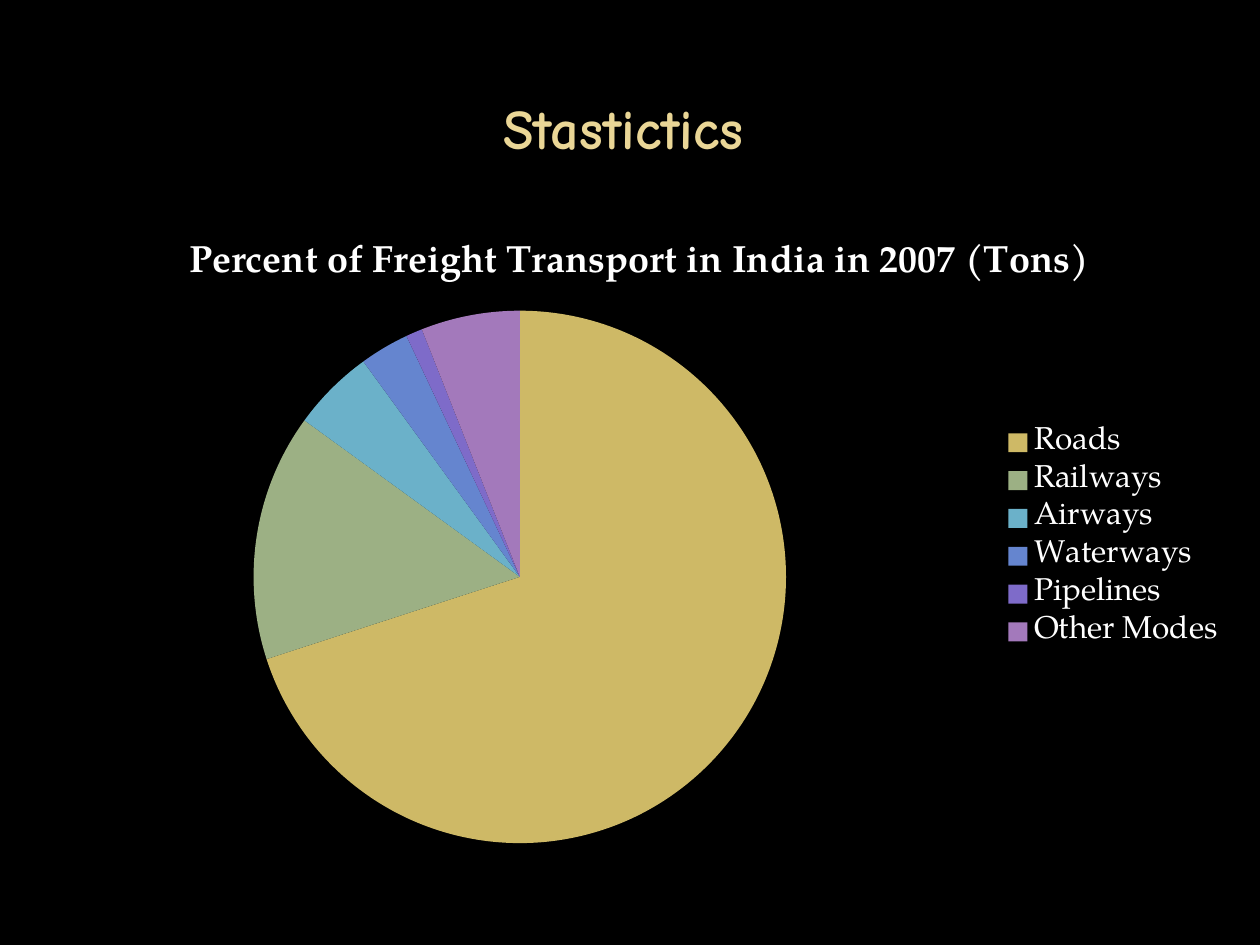
from pptx import Presentation
from pptx import util as u
from pptx.chart.data import CategoryChartData
from pptx.dml.color import RGBColor
from pptx.enum import chart as ch, text

COLORS = {
    "background": "000000", "title": "EAD696", "text": "FFFFFF",
    "Roads": "CEB966", "Railways": "9CB084", "Airways": "6BB1C9",
    "Waterways": "6585CF", "Pipelines": "7E6BC9", "Other Modes": "A379BB",
}
FREIGHT = {"Roads": 70, "Railways": 15, "Airways": 5,
           "Waterways": 3, "Pipelines": 1, "Other Modes": 6}


def set_all(obj, values):
    for name, value in values.items():
        setattr(obj, name, value)


class Deck:
    def __init__(self, prs):
        self.s = prs.slides.add_slide(prs.slide_layouts[6])
        self.paint(self.s.background.fill, "background")

    def paint(self, fill, color):
        fill.solid()
        fill.fore_color.rgb = RGBColor.from_string(COLORS[color])

    def style(self, font, name, size, color, bold=False):
        set_all(font, {"name": name, "size": u.Pt(size), "bold": bold})
        font.color.rgb = RGBColor.from_string(COLORS[color])

    def title(self, words, box):
        tf = self.s.shapes.add_textbox(*map(u.Inches, box)).text_frame
        set_all(tf, {"word_wrap": True,
                     "vertical_anchor": text.MSO_ANCHOR.MIDDLE,
                     "margin_top": u.Inches(0.21),
                     "margin_right": u.Inches(0.2)})
        p = tf.paragraphs[0]
        p.alignment = text.PP_ALIGN.CENTER
        r = p.add_run()
        r.text = words
        self.style(r.font, "Comic Neue", 32, "title", True)

    def pie(self, name, values, box):
        data = CategoryChartData()
        data.categories = list(values)
        data.add_series(name, list(values.values()))
        chart = self.s.shapes.add_chart(
            ch.XL_CHART_TYPE.PIE, *map(u.Inches, box), data).chart
        font = "TeX Gyre Pagella"
        self.style(chart.font, font, 18, "text")

        set_all(chart, {"has_title": True, "has_legend": True})
        tf = chart.chart_title.text_frame
        tf.text = name
        self.style(tf.paragraphs[0].runs[0].font, font, 21.6, "text", True)
        set_all(chart.legend, {"position": ch.XL_LEGEND_POSITION.RIGHT,
                               "include_in_layout": False})
        self.style(chart.legend.font, font, 18, "text")

        plot = chart.plots[0]
        plot.vary_by_categories = True
        for i, category in enumerate(values):
            self.paint(plot.series[0].points[i].format.fill, category)


def main():
    prs = Presentation()
    set_all(prs, {"slide_width": u.Inches(10), "slide_height": u.Inches(7.5)})
    deck = Deck(prs)
    deck.title("Stastictics", (0.5, 0.3, 9, 1.25))
    deck.pie("Percent of Freight Transport in India in 2007 (Tons)",
             FREIGHT, (0.33, 1.7, 9.5, 5.13))
    prs.save("out.pptx")


if __name__ == "__main__":
    main()
